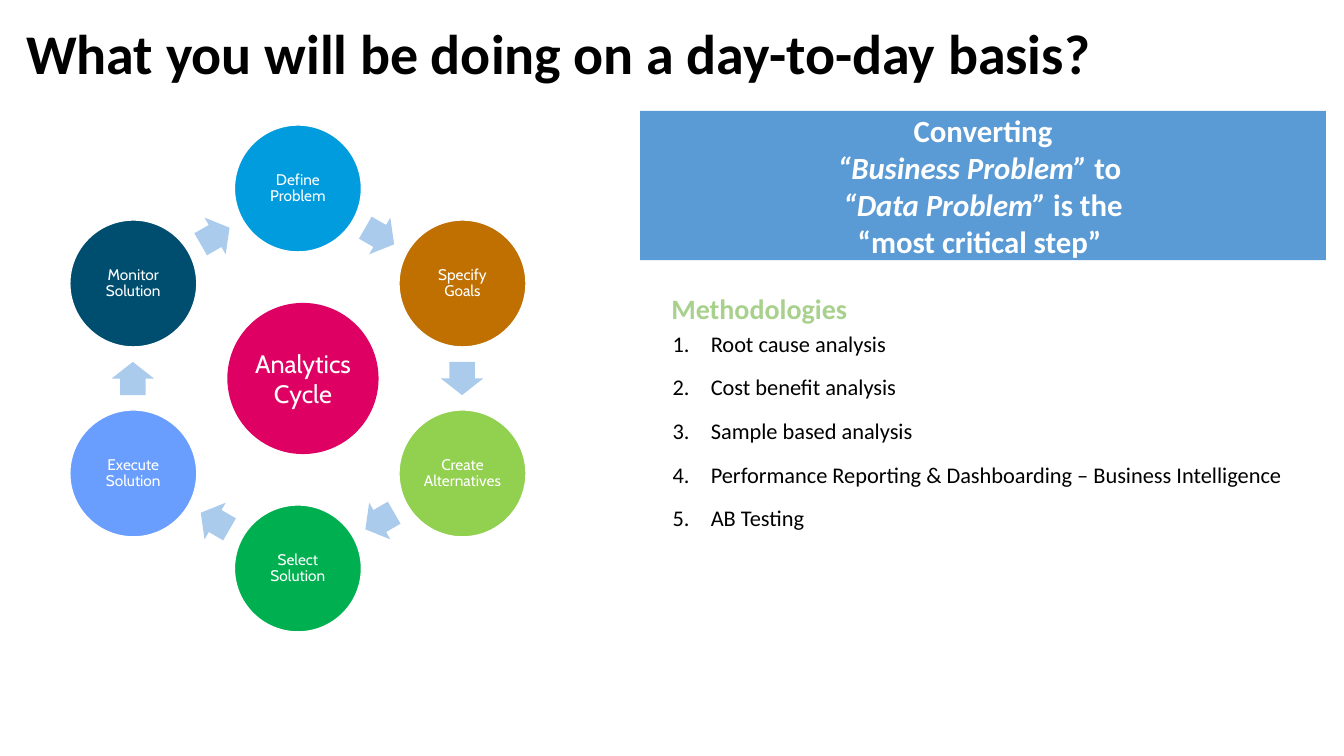
import math

from lxml import etree
from pptx import Presentation
from pptx import util as u
from pptx.dml.color import RGBColor
from pptx.enum import shapes, text
from pptx.oxml.ns import qn

STEPS = [
    ("Define Problem", "009CDE"),
    ("Specify Goals", "BF7000"),
    ("Create Alternatives", "92D050"),
    ("Select Solution", "00B050"),
    ("Execute Solution", "699EFF"),
    ("Monitor Solution", "004E6F"),
]
MESSAGE = [
    [("Converting", False)],
    [("“Business Problem” ", True), ("to ", False)],
    [("“Data Problem” ", True), ("is the", False)],
    [("“most critical step” ", False)],
]
METHODS = [
    "Root cause analysis",
    "Cost benefit analysis",
    "Sample based analysis",
    "Performance Reporting & Dashboarding – Business Intelligence",
    "AB Testing",
]


def color(value):
    return RGBColor.from_string(value)


def apply(obj, values):
    for name, value in values.items():
        setattr(obj, name, value)


def inches(*lengths):
    return [u.Inches(n) for n in lengths]


def place(sp, box):
    apply(sp, dict(zip(("left", "top", "width", "height"), inches(*box))))


def set_frame(tf, inset=0, anchor=text.MSO_ANCHOR.MIDDLE, wrap=True):
    apply(tf, {f"margin_{side}": u.Inches(inset) for side in ("left", "top", "right", "bottom")})
    apply(tf, {"vertical_anchor": anchor, "word_wrap": wrap, "auto_size": text.MSO_AUTO_SIZE.NONE})


def add_run(p, words, size, font, fill, **values):
    r = p.add_run()
    r.text = words
    apply(r.font, {"size": u.Pt(size), "name": font, **values})
    r.font.color.rgb = color(fill)


def add_block(parent, kind, box, fill, line=None):
    sp = parent.add_shape(kind, *inches(*box))
    sp.shadow.inherit = False
    sp.fill.solid()
    sp.fill.fore_color.rgb = color(fill)
    if line:
        sp.line.color.rgb = color(line)
        sp.line.width = u.Pt(1)
    else:
        sp.line.fill.background()
    return sp


def add_circle(parent, center, diameter, words, size, fill, line=None, inset=0, spacing=1.0):
    x, y = center
    box = (x - diameter / 2, y - diameter / 2, diameter, diameter)
    sp = add_block(parent, shapes.MSO_SHAPE.OVAL, box, fill, line)
    set_frame(sp.text_frame, inset)
    p = sp.text_frame.paragraphs[0]
    apply(p, {"alignment": text.PP_ALIGN.CENTER, "line_spacing": spacing})
    add_run(p, words, size, "Cabin", "FFFFFF")


def add_title(s, box):
    sp = s.shapes.title
    place(sp, box)
    set_frame(sp.text_frame, 0.1)
    p = sp.text_frame.paragraphs[0]
    apply(p, {"alignment": text.PP_ALIGN.LEFT, "line_spacing": 0.9})
    add_run(p, "What you will be doing on a day-to-day basis?", 40, "Calibri", "000000", bold=True)


def add_cycle(s, box):
    left, top, width, height = box
    node = 1.26
    radius = (height - node) / 2
    middle = (left + width / 2, top + height / 2)
    step = 360 / len(STEPS)
    apothem = radius * math.cos(math.radians(step / 2))

    def on_ring(angle, distance):
        a = math.radians(angle - 90)
        return middle[0] + distance * math.cos(a), middle[1] + distance * math.sin(a)

    ring = s.shapes.add_group_shape().shapes
    for i, (words, fill) in enumerate(STEPS):
        add_circle(ring, on_ring(i * step, radius), node, words, 11, fill, "FFFFFF", 0.02, 0.9)
        turn = (i + 0.5) * step
        x, y = on_ring(turn, apothem)
        arrow = add_block(ring, shapes.MSO_SHAPE.RIGHT_ARROW,
                          (x - 0.17, y - 0.21, 0.33, 0.42), "ABCBEC")
        arrow.rotation = turn
        arrow.adjustments[0] = 0.6
        arrow.adjustments[1] = 0.5
    add_circle(s.shapes, (middle[0] + 0.05, middle[1]), 1.5, "Analytics Cycle", 18, "DE0063")


def add_message(s, box):
    sp = add_block(s.shapes, shapes.MSO_SHAPE.RECTANGLE, box, "5B9BD5")
    tf = sp.text_frame
    set_frame(tf)
    for i, runs in enumerate(MESSAGE):
        p = tf.add_paragraph() if i else tf.paragraphs[0]
        p.alignment = text.PP_ALIGN.CENTER
        for words, italic in runs:
            add_run(p, words, 22, "Calibri", "FFFFFF", bold=True, italic=italic)


def number(p, indent):
    pPr = p._p.get_or_add_pPr()
    pPr.set("marL", str(u.Inches(indent)))
    pPr.set("indent", str(-u.Inches(indent)))
    etree.SubElement(pPr, qn("a:buFont"), typeface="+mj-lt")
    etree.SubElement(pPr, qn("a:buAutoNum"), type="arabicPeriod")


def add_methods(s, box):
    left, top, width, height = box
    heading = s.shapes.add_textbox(*inches(left, top, 2.1, 0.44))
    set_frame(heading.text_frame, 0.1, wrap=False)
    add_run(heading.text_frame.paragraphs[0], "Methodologies", 20, "Calibri", "A9D18E", bold=True)

    sp = s.placeholders[1]
    place(sp, (left + 0.11, top + 0.43, width - 0.11, height - 0.43))
    tf = sp.text_frame
    set_frame(tf, anchor=text.MSO_ANCHOR.TOP)
    for i, words in enumerate(METHODS):
        p = tf.add_paragraph() if i else tf.paragraphs[0]
        apply(p, {"line_spacing": 1.0, "space_before": u.Pt(6), "space_after": u.Pt(6)})
        number(p, 0.38)
        add_run(p, words, 16, "Calibri", "000000")


def main():
    prs = Presentation()
    apply(prs, {"slide_width": u.Inches(13.33), "slide_height": u.Inches(7.5)})
    s = prs.slides.add_slide(prs.slide_layouts[1])
    add_title(s, (0.16, 0.14, 12.79, 0.83))
    add_cycle(s, (0.69, 1.24, 4.53, 5.03))
    add_message(s, (6.35, 1.1, 6.8, 1.48))
    add_methods(s, (6.56, 2.84, 6.21, 2.45))
    prs.save("out.pptx")


if __name__ == "__main__":
    main()
